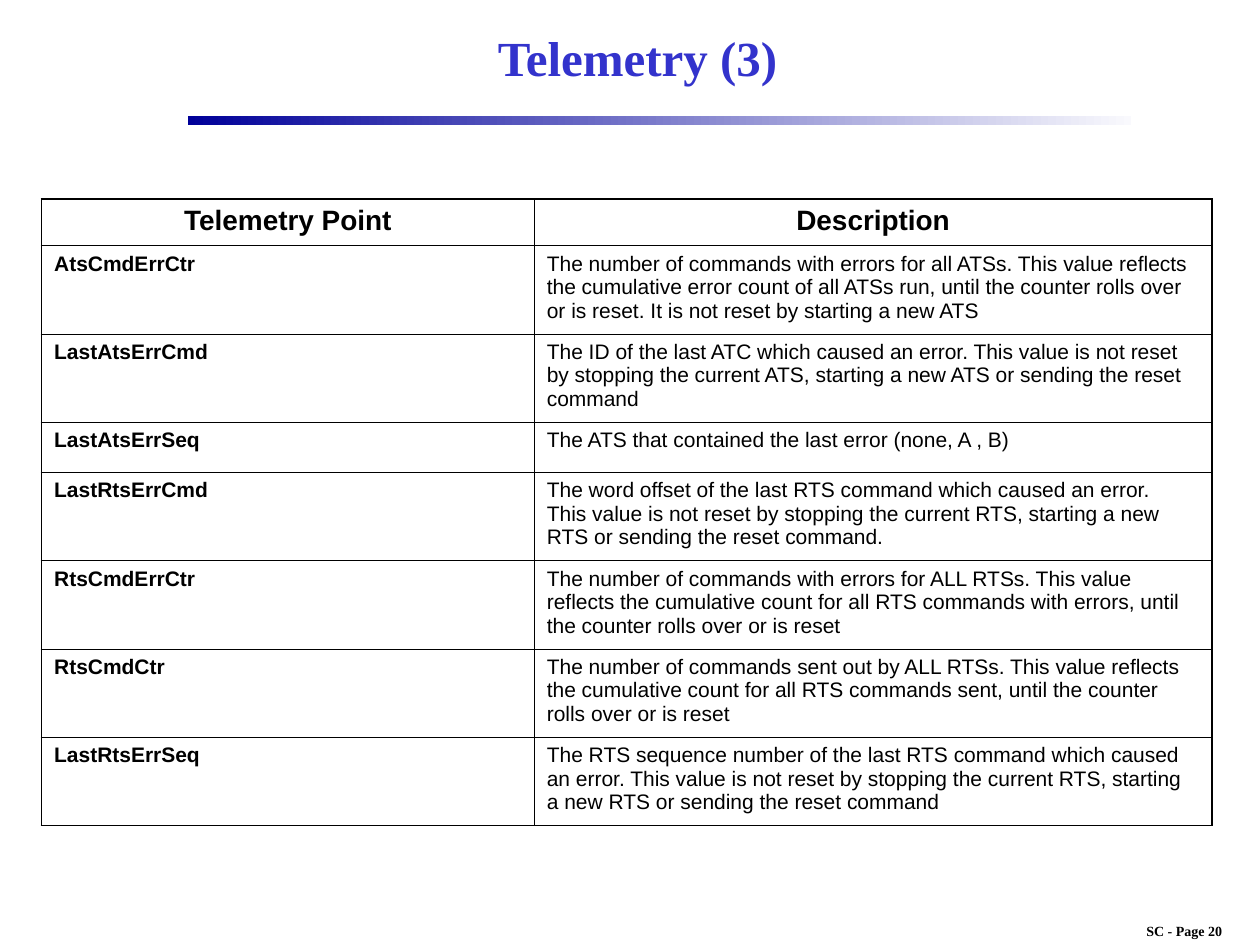
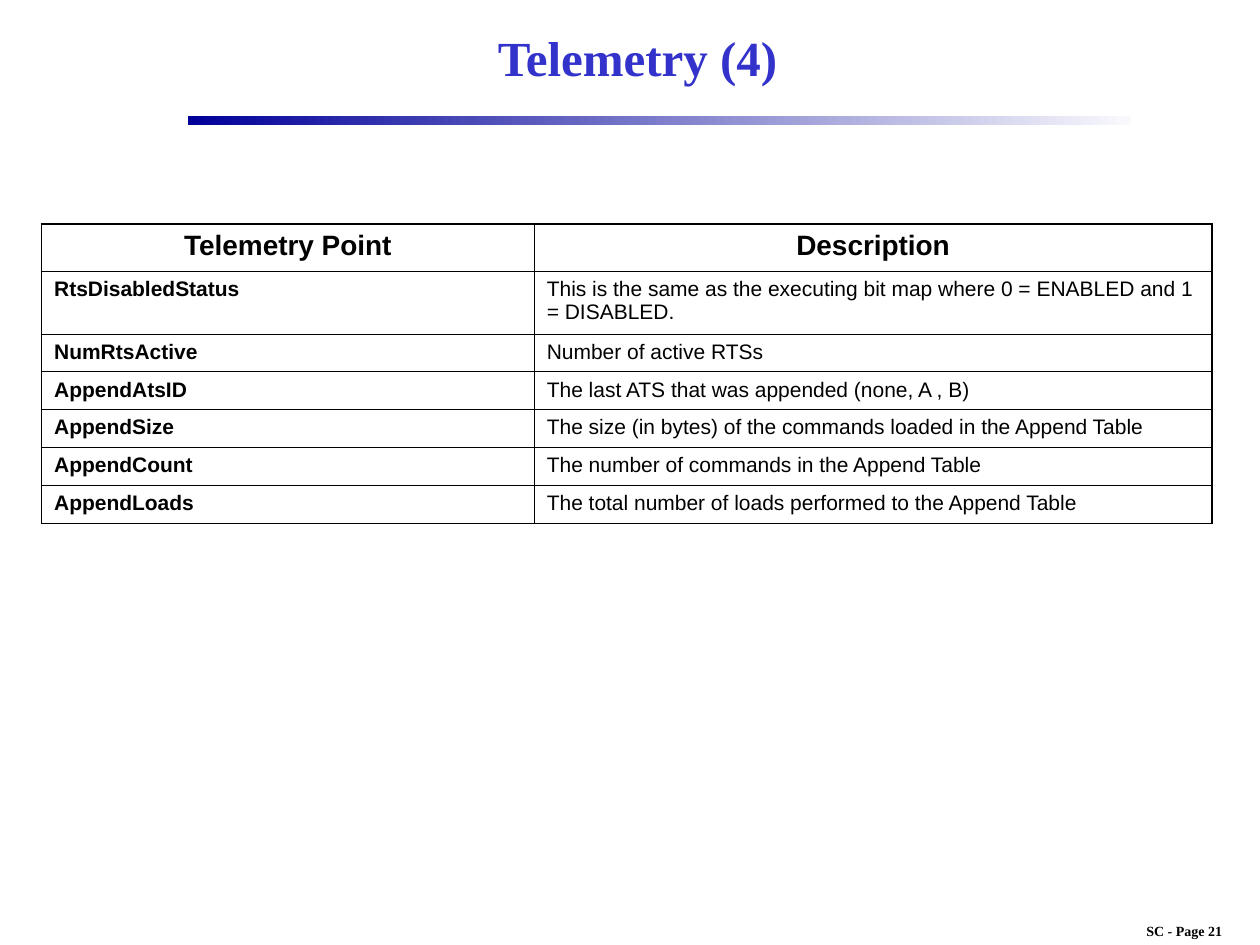
from dataclasses import dataclass

from lxml.etree import SubElement
from pptx import Presentation
from pptx.dml.color import RGBColor
from pptx.enum.shapes import MSO_SHAPE as Shape
from pptx.enum.text import MSO_ANCHOR as Anchor, PP_ALIGN as Align
from pptx.oxml.ns import qn
from pptx.util import Inches, Pt

BLACK = RGBColor(0x00, 0x00, 0x00)
TITLE_BLUE = RGBColor(0x33, 0x33, 0xCC)
RULE_START = RGBColor(0x00, 0x00, 0x99)
RULE_END = RGBColor(0xF9, 0xF9, 0xFD)
SERIF = "Times New Roman"
SANS = "Arial"
HEADINGS = ("Telemetry Point", "Description")
COLUMN_WIDTHS = (3.91, 5.38)
TABLE_LEFT = 0.33
HEADING_HEIGHT = 0.37
OUTER_LINE = Pt(1.08)
INNER_LINE = Pt(0.45)


@dataclass(frozen=True)
class TextStyle:
    font: str
    size: float
    color: RGBColor = BLACK
    bold: bool = True
    align: Align = Align.LEFT
    space_before: float = 0


TITLE = TextStyle(SERIF, 28, TITLE_BLUE, align=Align.CENTER)
FOOTER = TextStyle(SERIF, 8, align=Align.CENTER)
HEADING = TextStyle(SANS, 16, align=Align.CENTER, space_before=7)
POINT = TextStyle(SANS, 12)
DESCRIPTION = TextStyle(SANS, 12, bold=False)


@dataclass(frozen=True)
class TelemetryPoint:
    name: str
    description: tuple[str, ...]
    height: float


@dataclass(frozen=True)
class TelemetrySlide:
    title: str
    page: int
    table_top: float
    points: tuple[TelemetryPoint, ...]


def write(frame, paragraphs: tuple[str, ...], style: TextStyle) -> None:
    for index, words in enumerate(paragraphs):
        paragraph = frame.add_paragraph() if index else frame.paragraphs[0]
        paragraph.alignment = style.align
        paragraph.space_before = Pt(style.space_before)
        run = paragraph.add_run()
        run.text = words
        run.font.name = style.font
        run.font.size = Pt(style.size)
        run.font.bold = style.bold
        run.font.color.rgb = style.color


def add_label(slide, box: tuple[float, ...], words: str, style: TextStyle,
              wrap: bool) -> None:
    frame = slide.shapes.add_textbox(*map(Inches, box)).text_frame
    frame.word_wrap = wrap
    frame.vertical_anchor = Anchor.MIDDLE
    write(frame, (words,), style)


def add_rule(slide) -> None:
    rule = slide.shapes.add_shape(
        Shape.RECTANGLE, *map(Inches, (1.49, 0.92, 7.49, 0.07)))
    rule.shadow.inherit = False
    rule.line.fill.background()
    rule.fill.gradient()
    rule.fill.gradient_angle = 0
    for stop, color in zip(rule.fill.gradient_stops, (RULE_START, RULE_END)):
        stop.color.rgb = color


def set_borders(cell, widths: dict[str, int]) -> None:
    properties = cell._tc.get_or_add_tcPr()
    for side in "LRTB":
        line = SubElement(properties, qn(f"a:ln{side}"), w=str(int(widths[side])))
        fill = SubElement(line, qn("a:solidFill"))
        SubElement(fill, qn("a:srgbClr"), val=str(BLACK))


def add_telemetry_table(slide, top: float,
                        points: tuple[TelemetryPoint, ...]) -> None:
    heights = [HEADING_HEIGHT] + [point.height for point in points]
    table = slide.shapes.add_table(
        len(heights), len(COLUMN_WIDTHS), Inches(TABLE_LEFT), Inches(top),
        Inches(sum(COLUMN_WIDTHS)), Inches(sum(heights))).table
    table.first_row = False
    table.horz_banding = False
    for column, width in zip(table.columns, COLUMN_WIDTHS):
        column.width = Inches(width)
    for row, height in zip(table.rows, heights):
        row.height = Inches(height)

    for column, heading in enumerate(HEADINGS):
        write(table.cell(0, column).text_frame, (heading,), HEADING)
    for row, point in enumerate(points, start=1):
        write(table.cell(row, 0).text_frame, (point.name,), POINT)
        write(table.cell(row, 1).text_frame, point.description, DESCRIPTION)

    for row in range(len(heights)):
        for column in range(len(COLUMN_WIDTHS)):
            cell = table.cell(row, column)
            set_borders(cell, {
                "L": INNER_LINE if column else OUTER_LINE,
                "R": OUTER_LINE if column else INNER_LINE,
                "T": INNER_LINE if row else OUTER_LINE,
                "B": INNER_LINE,
            })
            cell.fill.background()
            cell.margin_left = cell.margin_right = Inches(0.1)
            cell.margin_top = cell.margin_bottom = Inches(0.05)


def add_telemetry_slide(deck, content: TelemetrySlide) -> None:
    slide = deck.slides.add_slide(deck.slide_layouts[6])
    add_label(slide, (8.8, 7.27, 1.2, 0.23), f"SC - Page {content.page}",
              FOOTER, wrap=False)
    add_rule(slide)
    add_telemetry_table(slide, content.table_top, content.points)
    add_label(slide, (1.53, 0.08, 7.06, 0.75), content.title, TITLE, wrap=True)


SLIDES = (
    TelemetrySlide("Telemetry (3)", 20, 1.58, (
        TelemetryPoint("AtsCmdErrCtr", (
            "The number of commands with errors for all ATSs. This value "
            "reflects the cumulative error count of all ATSs run, until the "
            "counter rolls over or is reset. It is not reset by starting a "
            "new ATS",), 0.7),
        TelemetryPoint("LastAtsErrCmd", (
            "The ID of the last ATC which caused an error. This value is not "
            "reset by stopping the current ATS, starting a new ATS or sending "
            "the reset command",), 0.7),
        TelemetryPoint("LastAtsErrSeq", (
            "The ATS that contained the last error (none, A , B)",), 0.4),
        TelemetryPoint("LastRtsErrCmd", (
            "The word offset of the last RTS command which caused an error.",
            "This value is not reset by stopping the current RTS, starting a "
            "new RTS or sending the reset command."), 0.7),
        TelemetryPoint("RtsCmdErrCtr", (
            "The number of commands with errors for ALL RTSs. This value "
            "reflects the cumulative count for all RTS commands with errors, "
            "until the counter rolls over or is reset",), 0.7),
        TelemetryPoint("RtsCmdCtr", (
            "The number of commands sent out by ALL RTSs. This value reflects "
            "the cumulative count for all RTS commands sent, until the "
            "counter rolls over or is reset",), 0.7),
        TelemetryPoint("LastRtsErrSeq", (
            "The RTS sequence number of the last RTS command which caused an "
            "error. This value is not reset by stopping the current RTS, "
            "starting a new RTS or sending the reset command",), 0.7),
    )),
    TelemetrySlide("Telemetry (4)", 21, 1.78, (
        TelemetryPoint("RtsDisabledStatus", (
            "This is the same as the executing bit map where 0 = ENABLED and "
            "1 = DISABLED.",), 0.5),
        TelemetryPoint("NumRtsActive", ("Number of active RTSs",), 0.3),
        TelemetryPoint("AppendAtsID", (
            "The last ATS that was appended (none, A , B)",), 0.3),
        TelemetryPoint("AppendSize", (
            "The size (in bytes) of the commands loaded in the Append Table",),
            0.3),
        TelemetryPoint("AppendCount", (
            "The number of commands in the Append Table",), 0.3),
        TelemetryPoint("AppendLoads", (
            "The total number of loads performed to the Append Table",), 0.3),
    )),
)


def main() -> None:
    deck = Presentation()
    deck.slide_width = Inches(10)
    deck.slide_height = Inches(7.5)
    for content in SLIDES:
        add_telemetry_slide(deck, content)
    deck.save("out.pptx")


main()
